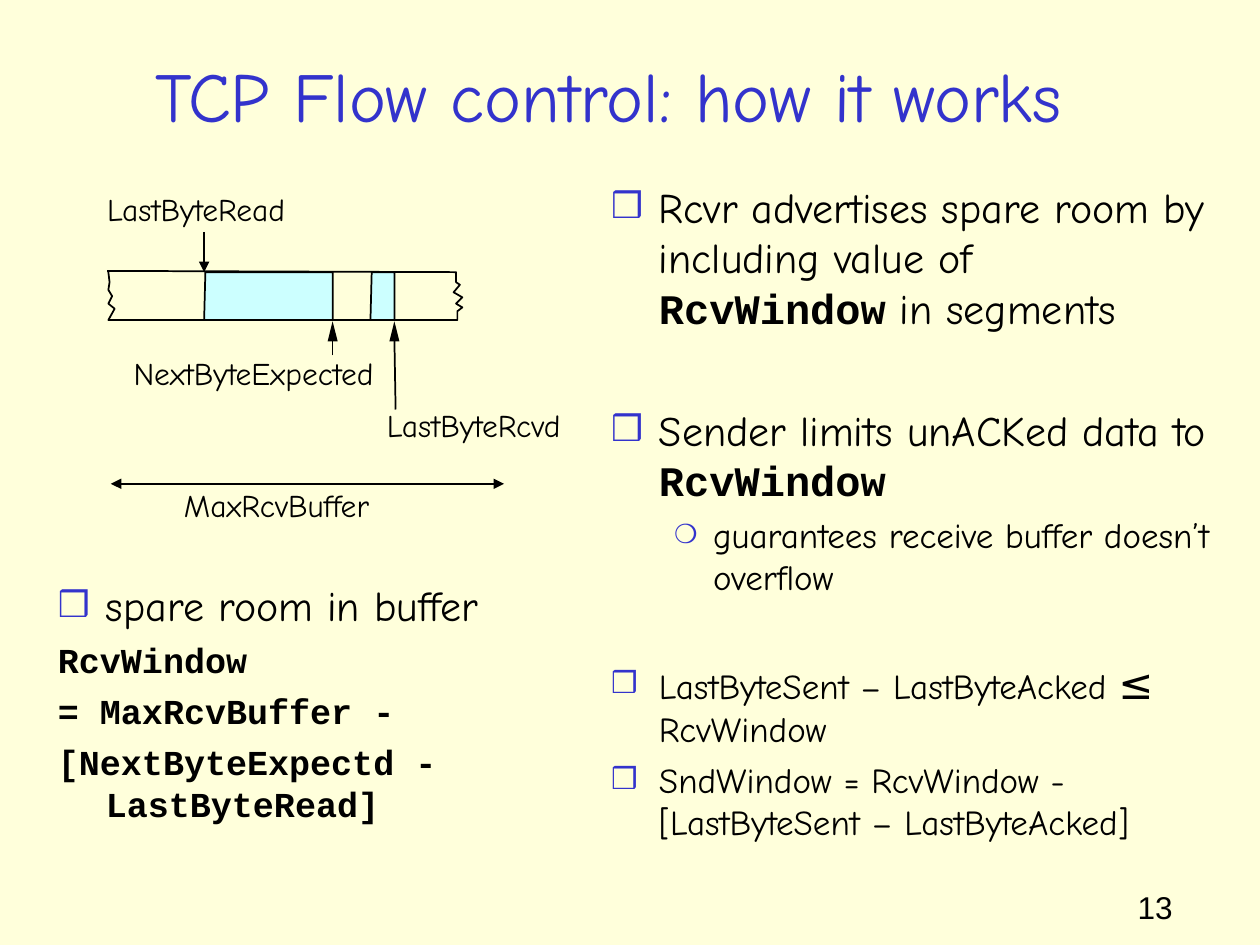
from lxml.etree import SubElement
from pptx import Presentation
from pptx.dml.color import RGBColor
from pptx.enum.shapes import MSO_CONNECTOR
from pptx.enum.text import MSO_ANCHOR, MSO_AUTO_SIZE, PP_ALIGN
from pptx.oxml.ns import qn
from pptx.util import Inches, Pt

HAND, CODE, PLAIN = "Comic Neue", "Courier New", "Arial"
BLUE, BLACK, CYAN, CREAM = "3333CC", "000000", "CCFFFF", "FFFFDB"

TITLE = ("TCP Flow control: how it works", (0.58, 0.25, 8.5, 1))

# kind: bullet character, its size in percent, left indent, hanging indent, level
KINDS = {
    "main": ("❒", 85, 0.38, -0.38, 0),
    "sub": ("❍", 75, 0.81, -0.31, 1),
    "none": (None, 0, 0.38, -0.38, 0),
}
# paragraph: kind, space before, runs of (text, size, font)
FORMULA = [
    ("main", 6, [("spare room in buffer", 24, HAND)]),
    ("none", 5, [("RcvWindow", 20, CODE)]),
    ("none", 5, [("= MaxRcvBuffer -", 20, CODE)]),
    ("none", 5, [("[NextByteExpectd - LastByteRead]", 20, CODE)]),
]
RULES = [
    ("main", 6, [("Rcvr advertises spare room by including value of ", 24, HAND),
                 ("RcvWindow", 24, CODE), (" in segments", 24, HAND)]),
    ("main", 41, [("Sender limits unACKed data to ", 24, HAND),
                  ("RcvWindow", 24, CODE)]),
    ("sub", 5, [("guarantees receive buffer doesn’t overflow", 20, HAND)]),
    ("main", 34, [("LastByteSent – LastByteAcked ", 20, HAND), ("≤ ", 24, HAND),
                  ("RcvWindow", 20, HAND)]),
    ("main", 5, [("SndWindow = RcvWindow -[LastByteSent – LastByteAcked]", 20, HAND)]),
]
BODIES = [(FORMULA, (0.36, 4.55, 3.88, 2.63)), (RULES, (4.75, 1.39, 4.97, 5.46))]

# text, font, box
LABELS = [
    ("LastByteRead", HAND, (0.85, 1.51, 1.43, 0.3)),
    ("LastByteRcvd", HAND, (3.07, 3.22, 1.4, 0.3)),
    ("NextByteExpected", HAND, (1.06, 2.81, 1.92, 0.3)),
    ("MaxRcvBuffer", HAND, (1.46, 3.86, 1.48, 0.3)),
    ("13", PLAIN, (9.03, 7.05, 0.54, 0.4)),
]
TOP, BOTTOM = 2.16, 2.54
SEGMENTS = [(1.62, 2.64), (2.94, 3.13)]
BUFFER = [
    (0.85, 2.15), (3.62, TOP), (3.62, 2.24), (3.65, 2.26), (3.6, 2.32),
    (3.67, 2.36), (3.62, 2.41), (3.67, 2.44), (3.63, 2.47), (3.63, BOTTOM),
    (0.86, BOTTOM), (0.91, 2.45), (0.86, 2.41), (0.89, 2.35), (0.86, 2.3),
    (0.87, 2.24), (0.86, TOP),
]
# start and tip of the pointers below the buffer
POINTERS = [((2.64, 2.82), 2.64), ((3.14, 3.25), 3.13)]
# start, end, ends that carry an arrowhead
ARROWS = [
    ((1.62, 1.84), (1.62, TOP), ["tailEnd"]),
    ((0.88, 3.84), (4, 3.84), ["headEnd", "tailEnd"]),
]


def rgb(value):
    return RGBColor.from_string(value)


def style(r, size, font, color=BLACK):
    r.font.size, r.font.name, r.font.bold = Pt(size), font, font == CODE
    r.font.color.rgb = rgb(color)


def place(sp, box):
    sp.left, sp.top, sp.width, sp.height = map(Inches, box)
    sp.text_frame.word_wrap = True
    sp.text_frame.auto_size = MSO_AUTO_SIZE.NONE


def set_bullet(p, kind):
    char, percent, left, hanging, p.level = KINDS[kind]
    pPr = p._p.get_or_add_pPr()
    pPr.set("marL", str(Inches(left)))
    pPr.set("indent", str(Inches(hanging)))
    if char is None:
        SubElement(pPr, qn("a:buNone"))
        return
    SubElement(SubElement(pPr, qn("a:buClr")), qn("a:srgbClr")).set("val", BLUE)
    SubElement(pPr, qn("a:buSzPct")).set("val", str(percent * 1000))
    SubElement(pPr, qn("a:buChar")).set("char", char)


def fill_body(sp, paragraphs, box):
    place(sp, box)
    tf = sp.text_frame
    tf.vertical_anchor = MSO_ANCHOR.TOP
    for i, (kind, before, runs) in enumerate(paragraphs):
        p = tf.add_paragraph() if i else tf.paragraphs[0]
        p.space_before = Pt(before)
        set_bullet(p, kind)
        for text, size, font in runs:
            r = p.add_run()
            r.text = text
            style(r, size, font)


def add_outline(s, points, fill=None, line=None, close=True):
    points = [(Inches(x), Inches(y)) for x, y in points]
    builder = s.shapes.build_freeform(*points[0])
    builder.add_line_segments(points[1:], close=close)
    sp = builder.convert_to_shape()
    sp.shadow.inherit = False
    for part, color in ((sp.fill, fill), (sp.line.fill, line)):
        if color:
            part.solid()
            part.fore_color.rgb = rgb(color)
        else:
            part.background()
    if line:
        sp.line.width = Pt(1)


def add_line(s, start, end, heads=()):
    line = s.shapes.add_connector(MSO_CONNECTOR.STRAIGHT, *map(Inches, start + end))
    line.line.color.rgb = rgb(BLACK)
    line.line.width = Pt(1)
    for head in heads:
        SubElement(line.line._get_or_add_ln(), qn("a:" + head)).set("type", "triangle")
    SubElement(line._element.spPr, qn("a:effectLst"))


def add_label(s, text, font, box):
    tf = s.shapes.add_textbox(*map(Inches, box)).text_frame
    tf.margin_left = tf.margin_top = tf.margin_right = tf.margin_bottom = 0
    tf.word_wrap = False
    tf.text = text
    style(tf.paragraphs[0].runs[0], 18, font)


def main():
    prs = Presentation()
    prs.slide_width, prs.slide_height = Inches(10), Inches(7.5)
    s = prs.slides.add_slide(prs.slide_layouts.get_by_name("Two Content"))
    s.background.fill.solid()
    s.background.fill.fore_color.rgb = rgb(CREAM)

    title, *bodies = s.placeholders
    text, box = TITLE
    place(title, box)
    title.text_frame.text = text
    title.text_frame.vertical_anchor = MSO_ANCHOR.MIDDLE
    p = title.text_frame.paragraphs[0]
    p.alignment = PP_ALIGN.CENTER
    style(p.runs[0], 40, HAND, BLUE)
    for sp, (paragraphs, box) in zip(bodies, BODIES):
        fill_body(sp, paragraphs, box)

    for left, right in SEGMENTS:
        add_outline(s, [(left, BOTTOM), (left + 0.01, TOP), (right, TOP),
                        (right, BOTTOM)], fill=CYAN, line=BLACK)
    add_outline(s, BUFFER, line=BLACK, close=False)
    for start, tip in POINTERS:
        add_line(s, start, (tip, 2.68))
        add_outline(s, [(tip - 0.04, 2.71), (tip, 2.55), (tip + 0.04, 2.71)], fill=BLACK)
    for arrow in ARROWS:
        add_line(s, *arrow)
    for label in LABELS:
        add_label(s, *label)
    prs.save("out.pptx")


if __name__ == "__main__":
    main()
